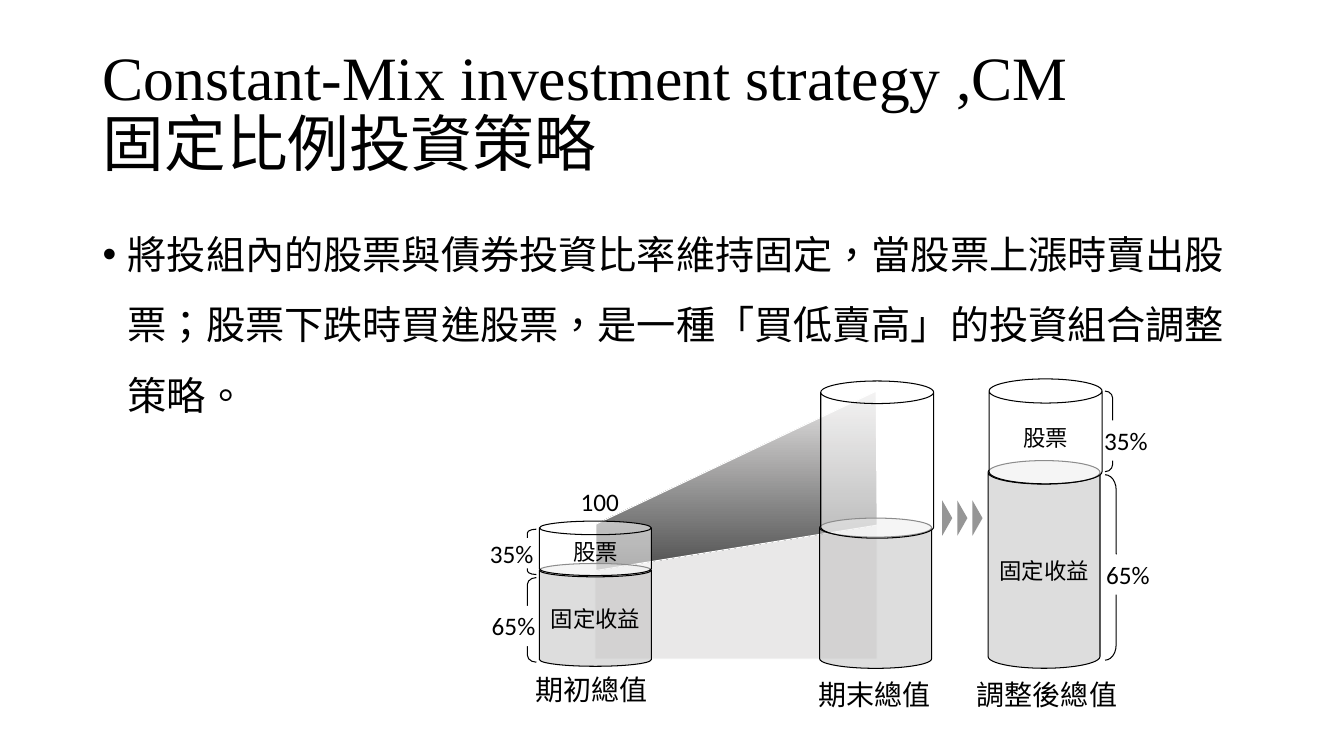
from lxml import etree
from pptx import Presentation
from pptx import util as u
from pptx.dml.color import RGBColor
from pptx.enum import shapes, text
from pptx.oxml.ns import qn

PX = 9144
SLIDE = (1333, 750)
SERIF, SANS, CJK = "Times New Roman", "Calibri", "Noto Sans CJK SC"
BLACK, WHITE, PALE, SILVER, GREY = "000000", "FFFFFF", "E7E6E6", "C0C0C0", "969696"
DARK = "505050"

TITLE = ("Constant-Mix investment strategy ,CM \v固定比例投資策略", (92, 40, 1150, 145))
BODY = (
    "將投組內的股票與債券投資比率維持固定，當股票上漲時賣出股票；股票下跌時買進股票，"
    "是一種「買低賣高」的投資組合調整策略。",
    (92, 200, 1150, 476),
)
BOND_BAND = [(590, 565), (590, 654), (870, 654), (870, 521)]
STOCK_BAND = [(591, 566), (591, 520), (869, 388), (870, 521)]
BONDS, STOCKS = (SILVER, 53), (WHITE, 55)
CANS = [
    ("固定收益", (535, 559, 111, 102), 0.13, BONDS),
    ("股票", (535, 517, 111, 54), 0.25, STOCKS),
    ("", (813, 514, 111, 149), 0.17, BONDS),
    ("", (814, 378, 112, 156), 0.2, STOCKS),
    ("固定收益", (980, 457, 111, 206), 0.21, BONDS),
    ("股票", (981, 376, 112, 104), 0.23, STOCKS),
]
LEFT, RIGHT = shapes.MSO_SHAPE.LEFT_BRACE, shapes.MSO_SHAPE.RIGHT_BRACE
BRACES = [
    (LEFT, (514, 573, 18, 84), 0.39),
    (LEFT, (514, 525, 18, 45), 0.21),
    (RIGHT, (1096, 471, 22, 184), 0.68),
    (RIGHT, (1096, 388, 15, 80), 0.46),
]
SHARES = [
    ("65%", (481, 601, 50, 40), text.PP_ALIGN.RIGHT),
    ("35%", (479, 534, 50, 30), text.PP_ALIGN.RIGHT),
    ("65%", (1097, 550, 50, 40), text.PP_ALIGN.LEFT),
    ("35%", (1095, 417, 50, 40), text.PP_ALIGN.LEFT),
]
ARROWS, ARROW_STEP, ARROW_BOX = 3, 15, (922, 509, 35, 10)
CAPTIONS = [
    ("100", (566, 477, 62, 40), 18, SANS),
    ("期初總值", (521, 662, 132, 44), 20, CJK),
    ("期末總值", (802, 667, 132, 44), 20, CJK),
    ("調整後總值", (959, 667, 160, 44), 20, CJK),
]

deck = Presentation()
deck.slide_width, deck.slide_height = (side * PX for side in SLIDE)
slide = deck.slides.add_slide(deck.slide_layouts[5])


def emu(box):
    return [side * PX for side in box]


def rgb(value):
    return RGBColor.from_string(value)


def write(shape, words, size, face, align=text.PP_ALIGN.LEFT, wrap=False, side=0,
          anchor=text.MSO_ANCHOR.MIDDLE):
    frame = shape.text_frame
    frame.text = words
    frame.word_wrap = wrap
    frame.vertical_anchor = anchor
    frame.margin_left = frame.margin_right = side * PX
    frame.margin_top = frame.margin_bottom = 5 * PX
    paragraph = frame.paragraphs[0]
    paragraph.alignment = align
    for run in paragraph.runs:
        run.font.size, run.font.name = u.Pt(size), face
        run.font.color.rgb = rgb(BLACK)
        props = run.font._element
        props.set("lang", "zh-TW")
        east_asian = etree.Element(qn("a:ea"), typeface=CJK)
        props.find(qn("a:latin")).addnext(east_asian)
    return paragraph


def paint(shape, fill=None, opacity=100, line=None):
    shape.shadow.inherit = False
    if fill:
        shape.fill.solid()
        shape.fill.fore_color.rgb = rgb(fill)
        if opacity < 100:
            colour = shape._element.spPr.find(qn("a:solidFill"))[0]
            etree.SubElement(colour, qn("a:alpha"), val=str(opacity * 1000))
    else:
        shape.fill.background()
    if line:
        shape.line.color.rgb = rgb(line)
        shape.line.width = u.Pt(0.75)
    else:
        shape.line.fill.background()


def add_preset(kind, box):
    return slide.shapes.add_shape(kind, *emu(box))


def add_band(points):
    builder = slide.shapes.build_freeform(*points[0], scale=PX)
    builder.add_line_segments(points[1:], close=True)
    band = builder.convert_to_shape()
    paint(band, PALE, 90, WHITE)
    return band


def place_title():
    words, box = TITLE
    title = slide.shapes.title
    title.left, title.top, title.width, title.height = emu(box)
    write(title, words, 44, SERIF, wrap=True, side=10).line_spacing = 0.9


def place_body():
    words, box = BODY
    body = slide.shapes.add_textbox(*emu(box))
    paragraph = write(body, words, 28, SERIF, wrap=True, side=10, anchor=text.MSO_ANCHOR.TOP)
    paragraph.line_spacing = 1.5
    props = paragraph._p.get_or_add_pPr()
    props.set("marL", str(25 * PX))
    props.set("indent", str(-25 * PX))
    etree.SubElement(props, qn("a:buFont"), typeface="Arial")
    etree.SubElement(props, qn("a:buChar"), char="•")


def draw_growth():
    add_band(BOND_BAND)
    stock_fill = add_band(STOCK_BAND).fill
    stock_fill.gradient()
    stock_fill.gradient_angle = 270
    for stop, colour in zip(stock_fill.gradient_stops, (PALE, DARK)):
        stop.color.rgb = rgb(colour)


def draw_cans():
    for words, box, rim, (fill, opacity) in CANS:
        can = add_preset(shapes.MSO_SHAPE.CAN, box)
        can.adjustments[0] = rim
        paint(can, fill, opacity, BLACK)
        if words:
            write(can, words, 16, CJK, text.PP_ALIGN.CENTER)


def draw_shares():
    for kind, box, curl in BRACES:
        brace = add_preset(kind, box)
        brace.adjustments[0] = curl
        paint(brace, line=BLACK)
    for words, box, align in SHARES:
        share = add_preset(shapes.MSO_SHAPE.RECTANGLE, box)
        paint(share, WHITE)
        write(share, words, 18, SANS, align)


def draw_arrows():
    left, *rest = ARROW_BOX
    for i in range(ARROWS):
        arrow = add_preset(shapes.MSO_SHAPE.ISOSCELES_TRIANGLE, (left + i * ARROW_STEP, *rest))
        arrow.rotation = 90
        paint(arrow, GREY)


def add_captions():
    for words, box, size, face in CAPTIONS:
        write(slide.shapes.add_textbox(*emu(box)), words, size, face, side=10)


place_title()
place_body()
draw_growth()
draw_cans()
draw_shares()
draw_arrows()
add_captions()
deck.save("out.pptx")
